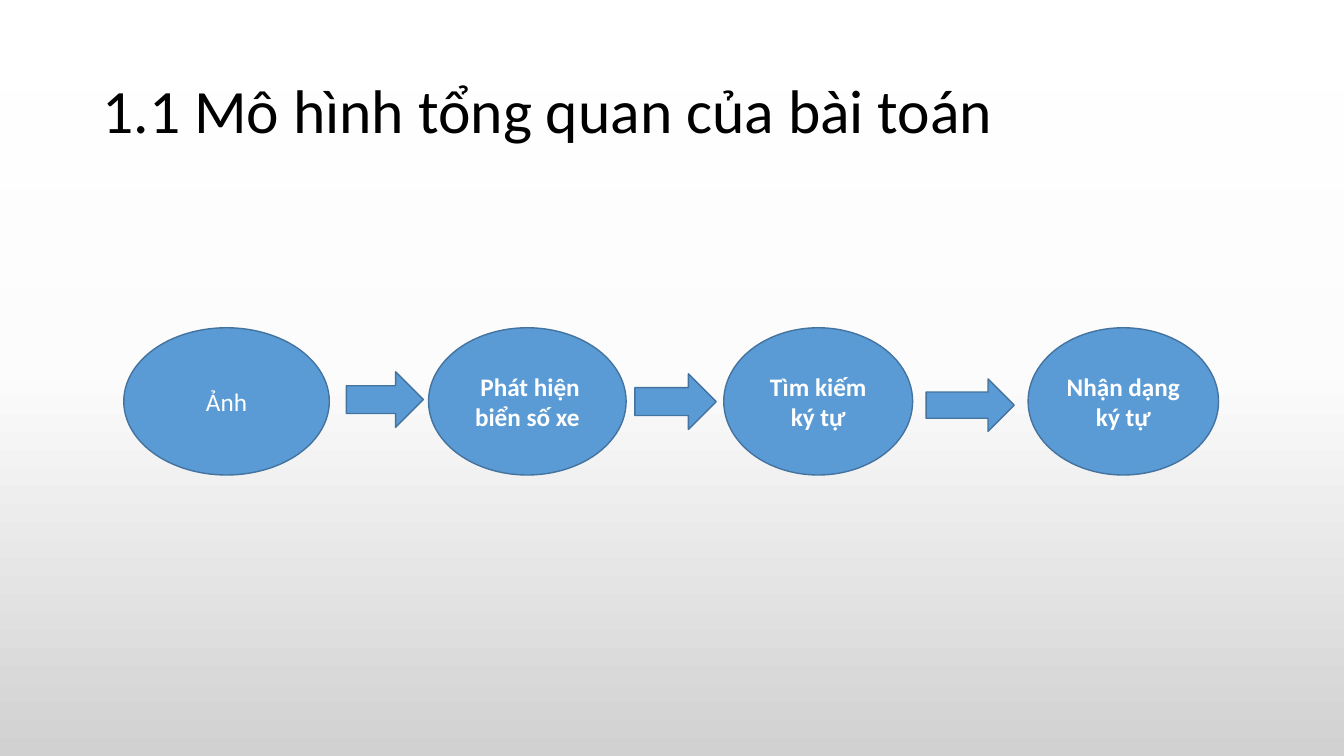
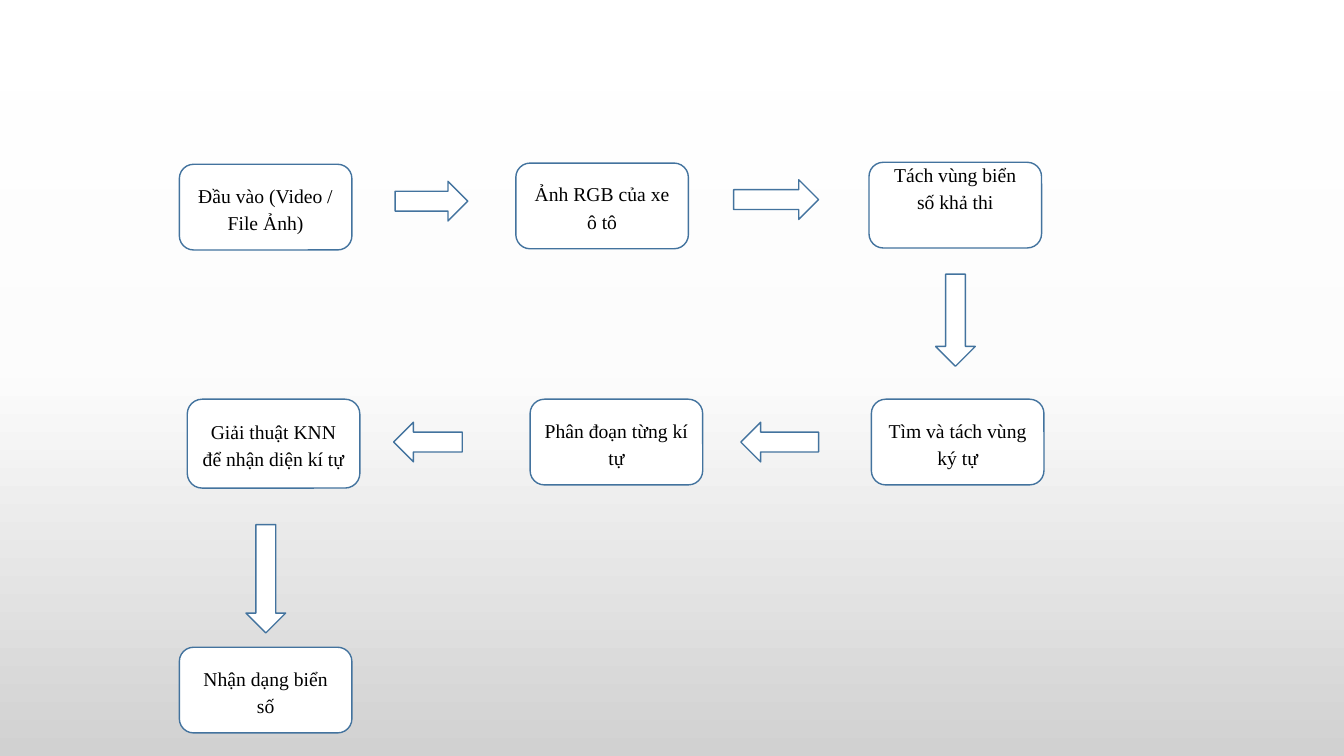
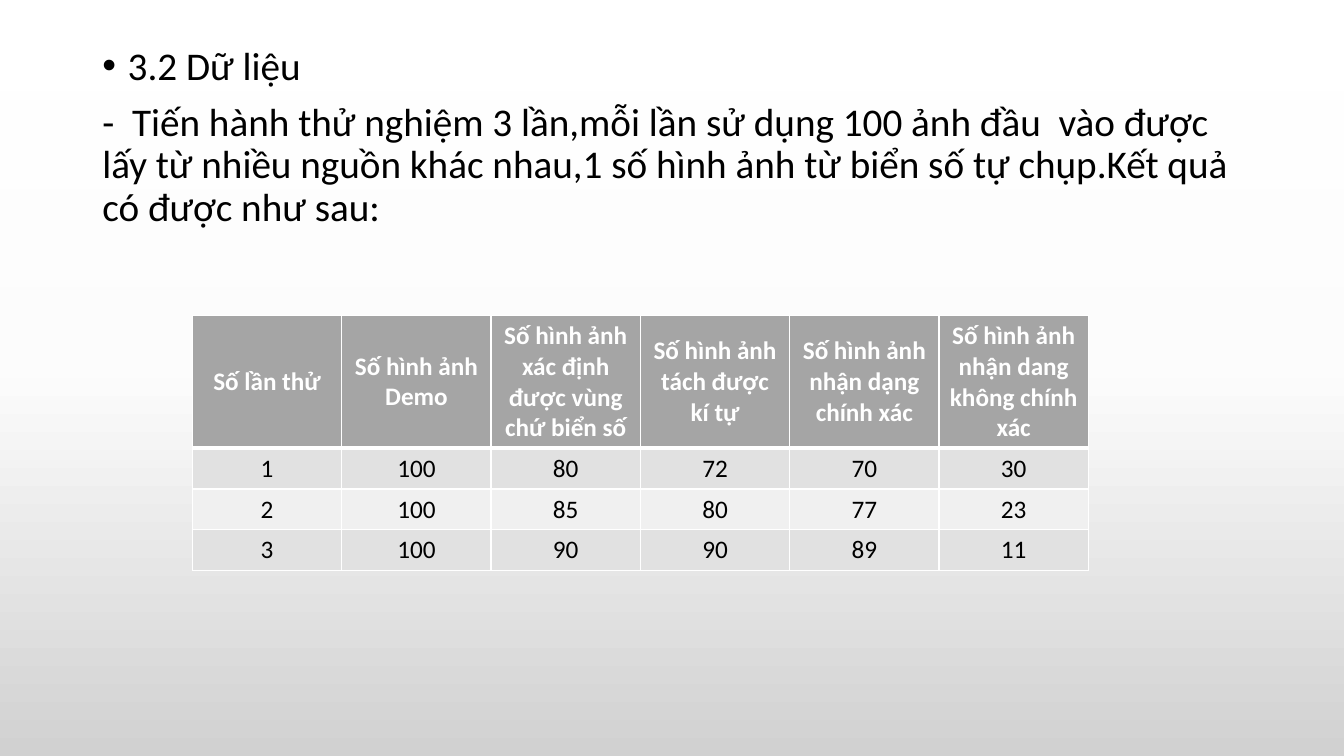
from copy import deepcopy

from lxml.etree import SubElement
from pptx import Presentation
from pptx.dml.color import RGBColor
from pptx.enum.shapes import MSO_SHAPE
from pptx.enum.text import MSO_ANCHOR, PP_ALIGN
from pptx.oxml.ns import qn
from pptx.util import Cm, Pt

BLUE, OUTLINE = "5B9BD5", "43739E"
WHITE, BLACK = "FFFFFF", "000000"
HEADER_GRAY, BAND_GRAYS = "A5A5A5", ("E1E1E1", "F0F0F0")
# Close stops in the pale half keep each colour step too small to see
BACKGROUND_STOPS = [(0, WHITE), (0.12, "FEFEFE"), (0.25, "FDFDFD"),
                    (0.38, "FCFCFC"), (0.5, "FBFBFB"), (1, "D1D1D1")]


def paint(fill, color):
    fill.solid()
    fill.fore_color.rgb = RGBColor.from_string(color)


def write_text(paragraph, text, size=18, font="Calibri", color=BLACK, bold=False,
               align=PP_ALIGN.LEFT, line_spacing=1.0, before=0, after=0):
    paragraph.alignment = align
    paragraph.line_spacing = line_spacing
    paragraph.space_before = Pt(before)
    paragraph.space_after = Pt(after)
    run = paragraph.add_run()
    run.text = text
    run.font.name = font
    run.font.size = Pt(size)
    run.font.bold = bold
    paint(run.font.fill, color)


presentation = Presentation()
presentation.slide_width = Cm(33.87)
presentation.slide_height = Cm(19.05)

# Shared background: vertical gradient
master = presentation.slide_master
background = master.background.fill
background.gradient()
background.gradient_angle = 270
first_stop = next(master.element.iter(qn("a:gs")))
for _ in BACKGROUND_STOPS[2:]:
    first_stop.addnext(deepcopy(first_stop))
for stop, (position, color) in zip(background.gradient_stops, BACKGROUND_STOPS):
    stop.position = position
    stop.color.rgb = RGBColor.from_string(color)

blank_layout = presentation.slide_layouts[6]
overview_slide, steps_slide, data_slide = [
    presentation.slides.add_slide(blank_layout) for _ in range(3)]

# Slide 1: title
title_box = overview_slide.shapes.add_textbox(Cm(2.33), Cm(1.01), Cm(29.21), Cm(3.68))
title_frame = title_box.text_frame
title_frame.word_wrap = True
title_frame.vertical_anchor = MSO_ANCHOR.MIDDLE
write_text(title_frame.paragraphs[0], "1.1 Mô hình tổng quan của bài toán",
           size=44, line_spacing=0.9)

# Slides 1 and 2: shapes as (kind, left, top, width, height, text)
ELLIPSE, BOX = MSO_SHAPE.OVAL, MSO_SHAPE.ROUNDED_RECTANGLE
RIGHT, LEFT, DOWN = MSO_SHAPE.RIGHT_ARROW, MSO_SHAPE.LEFT_ARROW, MSO_SHAPE.DOWN_ARROW
FIRST_STAGE = "Ảnh"
HIGH_TEXT = "Tách vùng biển số khả thi"

overview_shapes = [
    (ELLIPSE, 3.12, 8.26, 5.18, 3.71, FIRST_STAGE),
    (RIGHT, 8.73, 9.37, 1.94, 1.4, ""),
    (ELLIPSE, 10.8, 8.26, 4.98, 3.71, " Phát hiện biển số xe"),
    (RIGHT, 16, 9.42, 2.05, 1.4, ""),
    (ELLIPSE, 18.24, 8.26, 4.76, 3.71, "Tìm kiếm ký tự"),
    (RIGHT, 23.34, 9.55, 2.22, 1.32, ""),
    (ELLIPSE, 25.91, 8.26, 4.8, 3.71, "Nhận dạng ký tự"),
]
steps_shapes = [
    (BOX, 4.52, 4.14, 4.35, 2.16, "Đầu vào (Video / File Ảnh)"),
    (RIGHT, 9.96, 4.57, 1.83, 1, ""),
    (BOX, 13, 4.11, 4.35, 2.16, "Ảnh RGB của xe ô tô"),
    (RIGHT, 18.49, 4.53, 2.14, 1, ""),
    (BOX, 21.9, 4.09, 4.35, 2.16, HIGH_TEXT),
    (DOWN, 23.58, 6.91, 1, 2.32, ""),
    (BOX, 21.96, 10.06, 4.35, 2.16, "Tìm và tách vùng ký tự"),
    (LEFT, 18.67, 10.64, 1.96, 1, ""),
    (BOX, 13.36, 10.06, 4.35, 2.16, "Phân đoạn từng kí tự"),
    (LEFT, 9.92, 10.64, 1.73, 1, ""),
    (BOX, 4.72, 10.06, 4.35, 2.24, "Giải thuật KNN để nhận diện kí tự"),
    (DOWN, 6.2, 13.22, 1, 2.73, ""),
    (BOX, 4.52, 16.31, 4.35, 2.16, "Nhận dạng biển số"),
]
overview_format = {"color": WHITE}
steps_format = {"size": 14, "font": "Times New Roman", "line_spacing": 1.15, "after": 10}

for slide, shapes, fill_color, text_format in [
        (overview_slide, overview_shapes, BLUE, overview_format),
        (steps_slide, steps_shapes, WHITE, steps_format)]:
    for kind, left, top, width, height, text in shapes:
        shape = slide.shapes.add_shape(kind, Cm(left), Cm(top), Cm(width), Cm(height))
        shape.shadow.inherit = False
        paint(shape.fill, fill_color)
        paint(shape.line.fill, OUTLINE)
        shape.line.width = Pt(1)
        if text:
            frame = shape.text_frame
            frame.word_wrap = True
            frame.vertical_anchor = MSO_ANCHOR.MIDDLE
            if text == HIGH_TEXT:
                frame.margin_bottom = Cm(1.05)
            bold = kind == ELLIPSE and text != FIRST_STAGE
            write_text(frame.paragraphs[0], text, bold=bold,
                       align=PP_ALIGN.CENTER, **text_format)

# Slide 3: heading with bullet, then the introduction
body_box = data_slide.shapes.add_textbox(Cm(2.33), Cm(1.04), Cm(29.21), Cm(5))
body_frame = body_box.text_frame
body_frame.word_wrap = True
body_format = {"size": 28, "line_spacing": 0.9, "before": 10}
heading = body_frame.paragraphs[0]
write_text(heading, "3.2 Dữ liệu", **body_format)
heading_properties = heading._p.get_or_add_pPr()
heading_properties.set("marL", str(Cm(0.64)))
heading_properties.set("indent", str(-Cm(0.64)))
SubElement(heading_properties, qn("a:buFont"), typeface="Arial")
SubElement(heading_properties, qn("a:buChar"), char="•")
write_text(body_frame.add_paragraph(),
           "-  Tiến hành thử nghiệm 3 lần,mỗi lần sử dụng 100 ảnh đầu  vào được lấy từ "
           "nhiều nguồn khác nhau,1 số hình ảnh từ biển số tự chụp.Kết quả có được như sau:",
           **body_format)

# Slide 3: results table
results = [
    ("Số lần thử", "Số hình ảnh Demo", "Số hình ảnh xác định được vùng chứ biển số",
     "Số hình ảnh tách được kí tự", "Số hình ảnh nhận dạng chính xác",
     "Số hình ảnh nhận dang không chính xác"),
    (1, 100, 80, 72, 70, 30),
    (2, 100, 85, 80, 77, 23),
    (3, 100, 90, 90, 89, 11),
]
row_heights = [3.34, 1.03, 1.03, 1.03]
table = data_slide.shapes.add_table(len(results), len(results[0]), Cm(4.85), Cm(7.95),
                                    Cm(22.58), Cm(sum(row_heights))).table
for row_index, values in enumerate(results):
    table.rows[row_index].height = Cm(row_heights[row_index])
    is_header = row_index == 0
    for column_index, value in enumerate(values):
        cell = table.cell(row_index, column_index)
        cell.vertical_anchor = MSO_ANCHOR.MIDDLE
        write_text(cell.text_frame.paragraphs[0], str(value), bold=is_header,
                   color=WHITE if is_header else BLACK, align=PP_ALIGN.CENTER)
        # White borders, thicker between header and body
        cell_properties = cell._tc.get_or_add_tcPr()
        for side in ("lnL", "lnR", "lnT", "lnB"):
            thick = (side, row_index) in (("lnB", 0), ("lnT", 1))
            border = SubElement(cell_properties, qn(f"a:{side}"), w=str(Pt(3 if thick else 1)))
            border_fill = SubElement(border, qn("a:solidFill"))
            SubElement(border_fill, qn("a:srgbClr"), val=WHITE)
        paint(cell.fill, HEADER_GRAY if is_header else BAND_GRAYS[(row_index - 1) % 2])

presentation.save("out.pptx")
